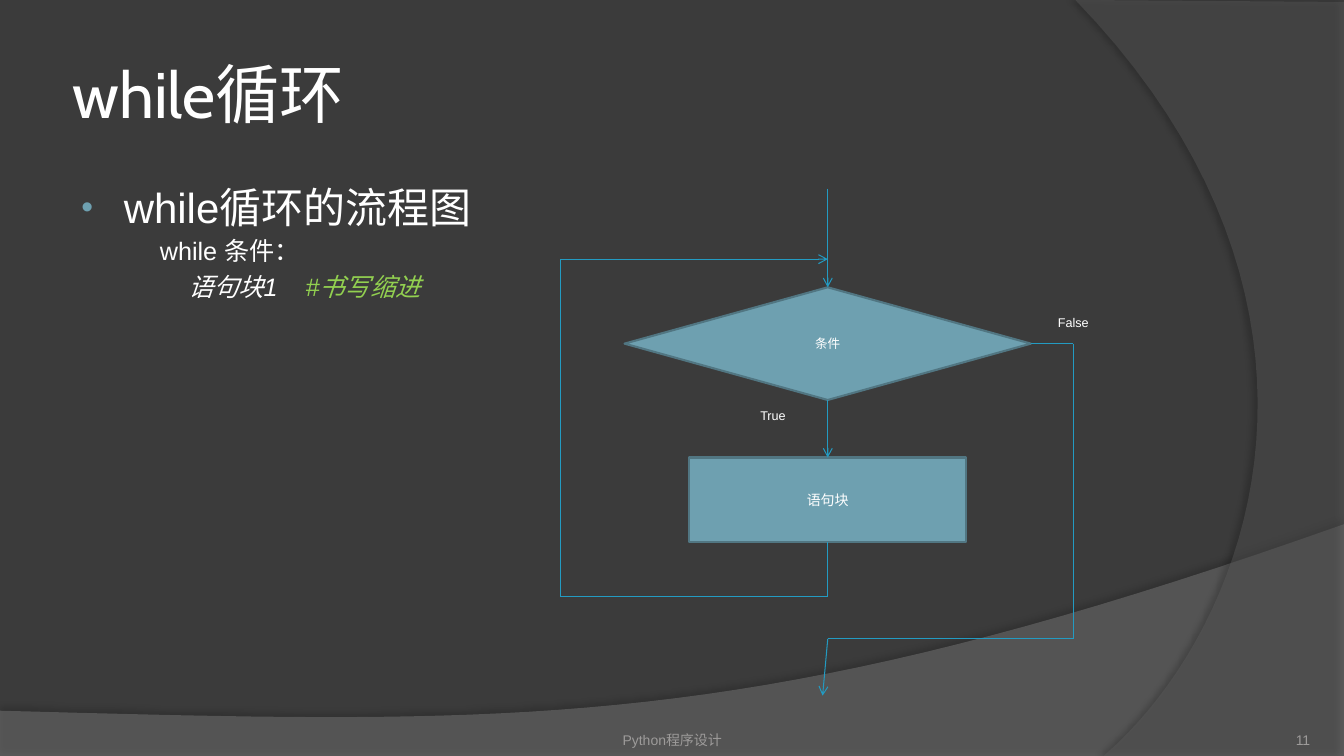
from dataclasses import dataclass
from lxml import etree
from pptx import Presentation
from pptx.dml.color import RGBColor
from pptx.enum.shapes import MSO_CONNECTOR, MSO_SHAPE
from pptx.enum.text import MSO_ANCHOR, PP_ALIGN
from pptx.oxml.ns import qn
from pptx.util import Cm, Pt

STRAIGHT = MSO_CONNECTOR.STRAIGHT
RECT, DIAMOND = MSO_SHAPE.RECTANGLE, MSO_SHAPE.FLOWCHART_DECISION
TOP, MIDDLE, BOTTOM = MSO_ANCHOR.TOP, MSO_ANCHOR.MIDDLE, MSO_ANCHOR.BOTTOM
LEFT, CENTER, RIGHT = PP_ALIGN.LEFT, PP_ALIGN.CENTER, PP_ALIGN.RIGHT


@dataclass(frozen=True)
class Theme:
    """Colours, fonts and type sizes."""
    back: str = "3B3B3B"
    wave: str = "7F7F7F"
    arc: str = "5E5E5E"
    text: str = "FFFFFF"
    muted: str = "9D9B9A"
    note: str = "92D050"
    fill: str = "6EA0B0"
    edge: str = "517682"
    wire: str = "239BC2"
    shade: str = "000000"
    head: str = "Cabin"
    font: str = "Arial"
    title: int = 46
    lead: int = 30
    code: int = 18
    small: int = 10
    label: int = 9


THEME = Theme()


def rgb(code):
    """Turn a hex code into a colour."""
    return RGBColor.from_string(code)


def add(node, tag, **attrs):
    """Append a DrawingML element and return it."""
    child = etree.SubElement(node, qn(f"a:{tag}"))
    for key, value in attrs.items():
        child.set(key, str(value))
    return child


def add_run(para, text, size, color=THEME.text, font=THEME.font, slant=False):
    """Add one styled run."""
    run = para.add_run()
    run.text = text
    run.font.size = Pt(size)
    run.font.name = font
    run.font.color.rgb = rgb(color)
    if slant:
        run.font.italic = True


def add_box(slide, area, anchor=MIDDLE, inset=(0.25, 0.13, 0.25, 0.13)):
    """Add a wrapping text box and return its frame."""
    frame = slide.shapes.add_textbox(*map(Cm, area)).text_frame
    frame.word_wrap = True
    frame.vertical_anchor = anchor
    (frame.margin_left, frame.margin_top,
     frame.margin_right, frame.margin_bottom) = map(Cm, inset)
    return frame


def add_label(slide, area, text, size, align=CENTER, **look):
    """Add a box with one line of text."""
    box = {key: look.pop(key) for key in ("anchor", "inset") if key in look}
    para = add_box(slide, area, **box).paragraphs[0]
    para.alignment = align
    add_run(para, text, size, **look)


def curve(start, one, two, end, steps=40):
    """List points along a cubic curve, after its start."""
    points = []
    for step in range(1, steps + 1):
        t = step / steps
        u = 1 - t
        points.append(tuple(
            u**3 * a + 3 * u * u * t * b + 3 * u * t * t * c + t**3 * d
            for a, b, c, d in zip(start, one, two, end)))
    return points


def add_sweep(slide, points, color, alpha, shade):
    """Add a translucent outline with a soft shadow."""
    first, *rest = [(Cm(x), Cm(y)) for x, y in points]
    form = slide.shapes.build_freeform(*first)
    form.add_line_segments(rest, close=True)
    shape = form.convert_to_shape()
    shape.fill.solid()
    shape.fill.fore_color.rgb = rgb(color)
    shape.line.fill.background()
    props = shape._element.spPr
    add(props.find(".//" + qn("a:srgbClr")), "alpha", val=alpha * 1000)
    dark, blur, dist, angle = shade
    cast = add(add(props, "effectLst"), "outerShdw", blurRad=Pt(blur),
               dist=Pt(dist), dir=angle * 60000, rotWithShape=0)
    add(add(cast, "srgbClr", val=THEME.shade), "alpha", val=dark * 1000)


def add_node(slide, kind, area, text, size):
    """Add a flowchart node."""
    node = slide.shapes.add_shape(kind, *map(Cm, area))
    node.shadow.inherit = False
    node.fill.solid()
    node.fill.fore_color.rgb = rgb(THEME.fill)
    node.line.color.rgb = rgb(THEME.edge)
    node.line.width = Pt(1.5)
    node.text_frame.vertical_anchor = MIDDLE
    para = node.text_frame.paragraphs[0]
    para.alignment = CENTER
    add_run(para, text, size)
    return node


def add_wire(slide, start, end, arrow=False, source=None, target=None):
    """Add a line, joined to a (node, side) pair where given."""
    wire = slide.shapes.add_connector(STRAIGHT, *map(Cm, start + end))
    if source:
        wire.begin_connect(*source)
    if target:
        wire.end_connect(*target)
    wire.line.color.rgb = rgb(THEME.wire)
    wire.line.width = Pt(0.75)
    if arrow:
        add(wire.line._get_or_add_ln(), "tailEnd", type="arrow")
    add(wire._element.spPr, "effectLst")


def add_route(slide, points, arrow=False, source=None):
    """Add a chain of lines, with an arrow on the last."""
    last = len(points) - 2
    for i, (start, end) in enumerate(zip(points, points[1:])):
        add_wire(slide, start, end, arrow and i == last,
                 None if i else source)


def add_back(slide):
    """Paint the background and its two sweeps."""
    slide.background.fill.solid()
    slide.background.fill.fore_color.rgb = rgb(THEME.back)
    wave = [(0, 17.91), (0, 19.05), (33.87, 19.05), (33.87, 13.21)]
    wave += curve(wave[-1], (18.92, 18.52), (13.23, 18.26), wave[0])
    add_sweep(slide, wave, THEME.wave, 45, (35, 4, 3.5, 270))
    arc = [(33.87, 0.05), (33.87, 19.05), (27.81, 19.05)]
    arc += curve(arc[-1], (31.65, 15.72), (34.47, 7.62), (27.1, 0))
    add_sweep(slide, arc, THEME.arc, 40, (45, 4, 4, 180))


def add_body(slide):
    """Add the bullet and the code below it."""
    frame = add_box(slide, (1.7, 4.45, 27.66, 12.57), TOP)
    lead = frame.paragraphs[0]
    props = lead._p.get_or_add_pPr()
    props.set("marL", str(Cm(1.17)))
    props.set("indent", str(Cm(-1.07)))
    add(add(props, "buClr"), "srgbClr", val=THEME.fill)
    add(props, "buSzPct", val=80000)
    add(props, "buFont", typeface=THEME.font)
    add(props, "buChar", char="•")
    add_run(lead, "while循环的流程图", THEME.lead)
    code = [[("while 条件：", THEME.text, False)],
            [("     语句块1    ", THEME.text, True),
             ("#书写缩进", THEME.note, True)]]
    for line in code:
        para = frame.add_paragraph()
        para.level = 1
        para.space_before = para.space_after = Pt(2)
        props = para._p.get_or_add_pPr()
        props.set("marL", str(Cm(2.08)))
        props.set("indent", "0")
        add(props, "buNone")
        for text, color, slant in line:
            add_run(para, text, THEME.code, color, slant=slant)


def add_flow(slide):
    """Draw the loop flowchart."""
    axis, side, out = 20.86, 14.12, 27.05
    test = add_node(slide, DIAMOND, (15.74, 7.24, 10.24, 2.84),
                    "条件", THEME.label)
    block = add_node(slide, RECT, (17.37, 11.53, 6.98, 2.13),
                     "语句块", THEME.small)
    add_wire(slide, (axis, 4.75), (axis, 7.24), True, target=(test, 0))
    add_wire(slide, (axis, 10.08), (axis, 11.53), True, (test, 2), (block, 0))
    add_route(slide, [(axis, 13.66), (axis, 15.04), (side, 15.04),
                      (side, 6.53), (axis, 6.53)], True, (block, 2))
    add_route(slide, [(25.98, 8.66), (out, 8.66), (out, 16.1),
                      (axis, 16.1), (20.73, 17.53)], True, (test, 3))
    for text, x, y in (("True", 17.6, 9.93), ("False", 25.17, 7.59)):
        add_label(slide, (x, y, 3.76, 1.07), text, THEME.label)


def main():
    """Build and save the slide."""
    deck = Presentation()
    deck.slide_width, deck.slide_height = Cm(33.87), Cm(19.05)
    slide = deck.slides.add_slide(deck.slide_layouts[6])
    add_back(slide)
    add_label(slide, (1.7, 0.76, 27.66, 3.18), "while循环", THEME.title, LEFT,
              font=THEME.head, inset=(0.13,) * 4)
    add_body(slide)
    foot = {"color": THEME.muted, "anchor": BOTTOM}
    add_label(slide, (11.58, 17.83, 10.72, 1.02), "Python程序设计",
              THEME.small, inset=(0, 0.13, 0, 0), **foot)
    add_label(slide, (30.2, 17.83, 2.82, 1.02), "11", THEME.small, RIGHT,
              inset=(0,) * 4, **foot)
    add_flow(slide)
    deck.save("out.pptx")


if __name__ == "__main__":
    main()
